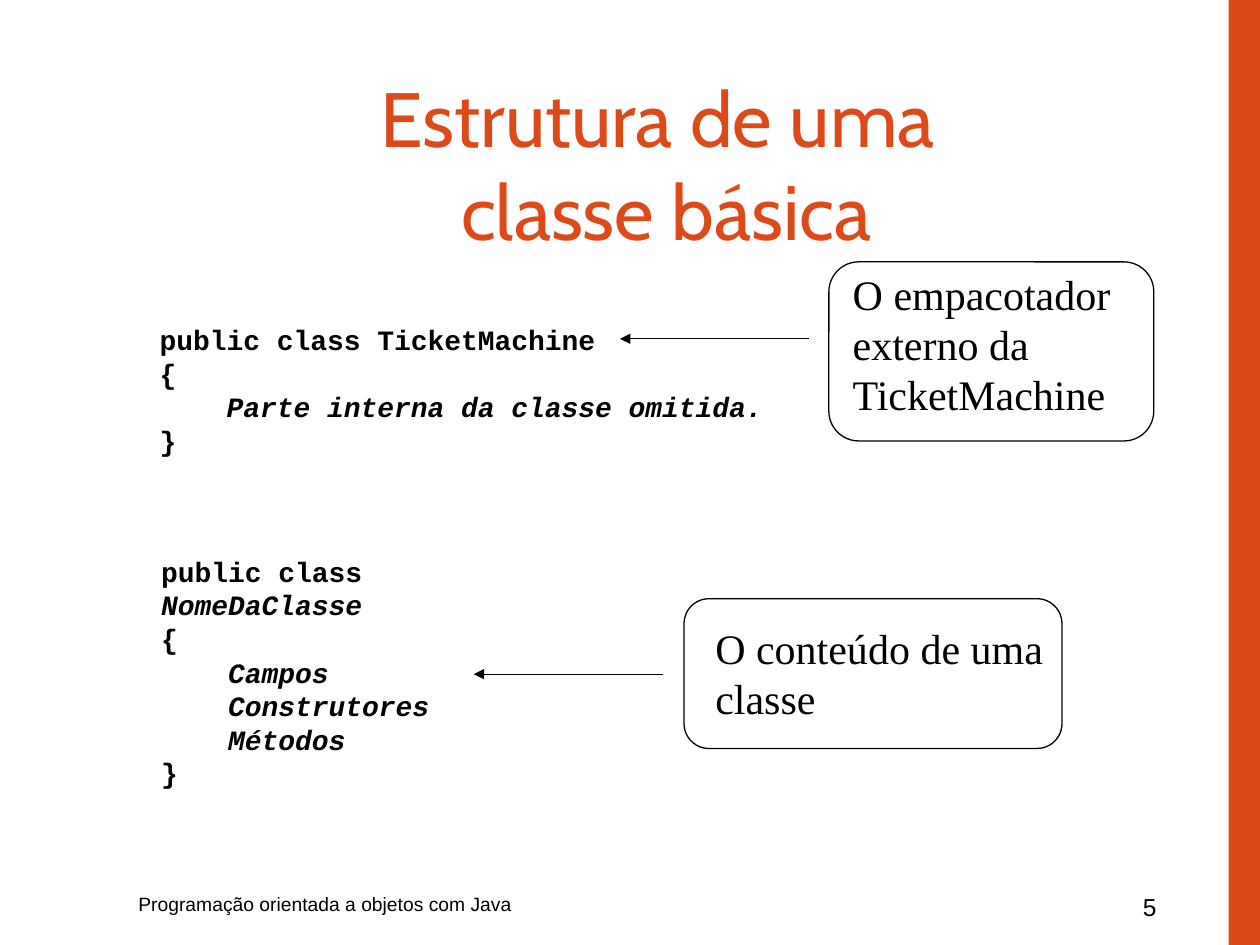
from pptx import Presentation
from pptx.dml.color import RGBColor
from pptx.enum.shapes import MSO_CONNECTOR as Connector, MSO_SHAPE as Shape
from pptx.enum.text import MSO_ANCHOR as Anchor, MSO_AUTO_SIZE as AutoSize, PP_ALIGN as Align
from pptx.oxml.ns import qn
from pptx.util import Cm, Pt
from lxml import etree

ORANGE = RGBColor(0xDC, 0x4A, 0x1A)
BLACK = RGBColor(0, 0, 0)


def write(frame, lines, *, font, size, color=BLACK, bold=False, align=Align.LEFT, leading=None):
    """Fill a frame with lines, each a string or a (plain, italic, indent) tuple."""
    for number, line in enumerate(lines):
        plain, italic, indent = (line, "", 0) if isinstance(line, str) else line
        paragraph = frame.paragraphs[0] if number == 0 else frame.add_paragraph()
        paragraph.alignment = align
        if leading:
            paragraph.line_spacing = Pt(leading)
        if indent:
            paragraph._p.get_or_add_pPr().set("marL", str(Cm(indent)))
        for words, slanted in ((plain, False), (italic, True)):
            for position, part in enumerate(words.split("\v") if words else []):
                if position:
                    paragraph.add_line_break()
                run = paragraph.add_run()
                run.text = part
                run.font.name, run.font.size = font, Pt(size)
                run.font.bold, run.font.italic = bold, slanted
                run.font.color.rgb = color


class ClassSlide:
    """Hold the current slide and its drawing style."""

    code = dict(font="Courier New", size=16, bold=True, leading=19.2)
    note = dict(font="Times New Roman", size=24, leading=28.8)
    line_width = Pt(0.75)

    def __init__(self, deck):
        self.slide = deck.slides.add_slide(deck.slide_layouts[5])

    def title(self, words, left, top, width, height):
        heading = self.slide.shapes.title
        heading.left, heading.top = Cm(left), Cm(top)
        heading.width, heading.height = Cm(width), Cm(height)
        frame = heading.text_frame
        frame.vertical_anchor = Anchor.MIDDLE
        frame.auto_size = AutoSize.NONE
        write(frame, [words], font="Cabin", size=44, color=ORANGE, align=Align.CENTER)

    def text(self, lines, left, top, width, height, wrap=True, **style):
        box = self.slide.shapes.add_textbox(Cm(left), Cm(top), Cm(width), Cm(height))
        box.text_frame.word_wrap = wrap
        write(box.text_frame, lines, **style)

    def bar(self, left, top, width, height):
        band = self.slide.shapes.add_shape(
            Shape.RECTANGLE, Cm(left), Cm(top), Cm(width), Cm(height))
        band.shadow.inherit = False
        band.fill.solid()
        band.fill.fore_color.rgb = ORANGE
        band.line.fill.background()

    def callout(self, left, top, width, height):
        outline = self.slide.shapes.add_shape(
            Shape.ROUNDED_RECTANGLE, Cm(left), Cm(top), Cm(width), Cm(height))
        outline.shadow.inherit = False
        outline.fill.background()
        outline.line.color.rgb = BLACK
        outline.line.width = self.line_width

    def arrow(self, start, end, height):
        pointer = self.slide.shapes.add_connector(
            Connector.STRAIGHT, Cm(start), Cm(height), Cm(end), Cm(height))
        pointer.line.color.rgb = BLACK
        pointer.line.width = self.line_width
        etree.SubElement(pointer.line._get_or_add_ln(), qn("a:tailEnd"), type="triangle")
        etree.SubElement(pointer._element.spPr, qn("a:effectLst"))


def main():
    deck = Presentation()
    deck.slide_width, deck.slide_height = Cm(25.4), Cm(19.05)
    page = ClassSlide(deck)
    indent = 1.35

    page.text(["5 "], 22.23, 17.86, 1.47, 0.84, font="Arial", size=14, align=Align.RIGHT)
    page.bar(24.77, 0, 0.63, 19.05)
    page.title("Estrutura de uma \vclasse básica", 2.74, 1.7, 21.39, 3.18)

    wrapper_code = ["public class TicketMachine", "{",
                    ("", "Parte interna da classe omitida.", indent), "}"]
    members = [("", member, indent) for member in ("Campos", "Construtores", "Métodos")]
    content_code = [("public class ", "NomeDaClasse", 0), "{", *members, "}"]
    page.text(wrapper_code, 2.97, 6.38, 12.67, 2.97, wrap=False, **page.code)
    page.text(content_code, 3, 11.05, 8.94, 4.32, wrap=False, **page.code)

    page.callout(16.71, 5.28, 6.55, 3.61)
    page.text(["O empacotador", "externo da", "TicketMachine"],
              16.94, 5.28, 6.15, 3.3, **page.note)
    page.arrow(16.3, 12.5, 6.83)

    page.callout(13.79, 12.07, 7.62, 3.02)
    page.arrow(13.36, 9.55, 13.59)
    page.text(["O conteúdo de uma", "classe"],
              14.17, 12.42, 7.11, 2.29, wrap=False, **page.note)

    page.text(["Programação orientada a objetos com Java"],
              2.54, 17.86, 21.59, 0.84, font="Arial", size=11)
    deck.save("out.pptx")


if __name__ == "__main__":
    main()
